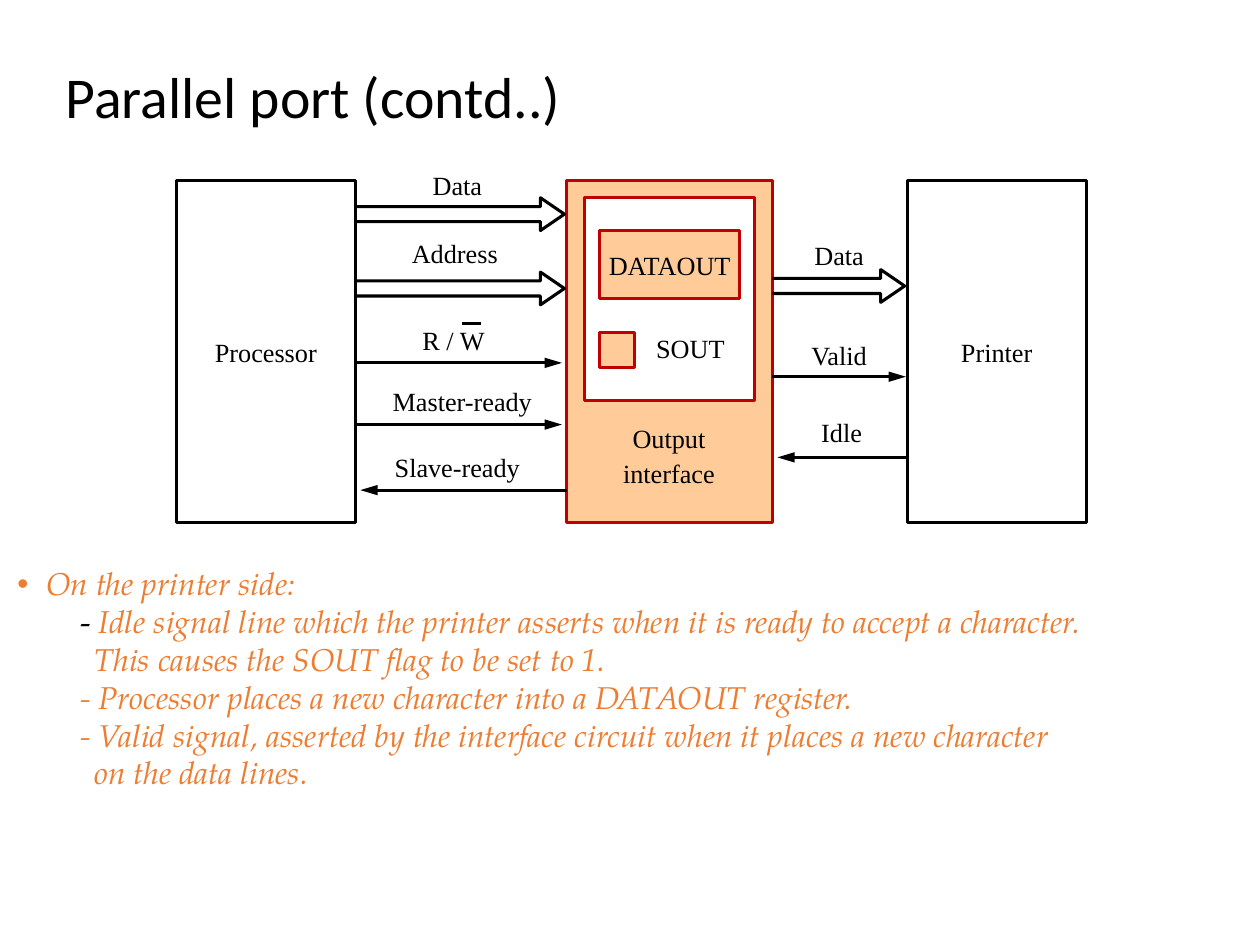
from lxml import etree
from pptx import Presentation
from pptx.dml.color import RGBColor
from pptx.enum.shapes import MSO_CONNECTOR, MSO_SHAPE
from pptx.enum.text import MSO_ANCHOR, PP_ALIGN
from pptx.oxml.ns import qn
from pptx.util import Inches, Pt

COLORS = {name: RGBColor.from_string(value) for name, value in {
    "ink": "000000", "paper": "FFFFFF", "peach": "FFCC99",
    "red": "C00000", "orange": "ED7D31"}.items()}
DIAGRAM_FONT = "Times New Roman"
LINE_WIDTH = Pt(1.75)

prs = Presentation()
prs.slide_width, prs.slide_height = Inches(10), Inches(7.5)
slide = prs.slides.add_slide(prs.slide_layouts[5])
shapes = slide.shapes

title = shapes.title
title.left, title.top, title.width, title.height = map(Inches, (0.42, 0.25, 9.08, 1.08))
title.text_frame.text = "Parallel port (contd..)"
title.text_frame.vertical_anchor = MSO_ANCHOR.MIDDLE
heading = title.text_frame.paragraphs[0]
heading.alignment = PP_ALIGN.LEFT
heading.line_spacing = 0.9
heading.font.name, heading.font.size = "Calibri", Pt(33)
heading.font.color.rgb = COLORS["ink"]


def write_centred(frame, text):
    """Put one centred diagram label, without insets, in a text frame."""
    frame.margin_left = frame.margin_right = frame.margin_top = frame.margin_bottom = 0
    frame.word_wrap = True
    frame.vertical_anchor = MSO_ANCHOR.MIDDLE
    frame.text = text
    paragraph = frame.paragraphs[0]
    paragraph.alignment = PP_ALIGN.CENTER
    paragraph.font.name, paragraph.font.size = DIAGRAM_FONT, Pt(15)
    paragraph.font.color.rgb = COLORS["ink"]


def draw_line(x1, y1, x2, y2, arrow=True):
    line = shapes.add_connector(MSO_CONNECTOR.STRAIGHT, *map(Inches, (x1, y1, x2, y2)))
    line.line.color.rgb = COLORS["ink"]
    line.line.width = LINE_WIDTH
    if arrow:
        etree.SubElement(line.line._get_or_add_ln(), qn("a:tailEnd"),
                         type="triangle", w="med", len="lg")
    etree.SubElement(line._element.spPr, qn("a:effectLst"))


# Blocks and registers, from back to front
for left, top, width, height, fill, outline, text in [
    (1.4, 1.43, 1.42, 2.72, "paper", "ink", "Processor"),
    (7.2, 1.43, 1.42, 2.72, "paper", "ink", "Printer"),
    (4.5, 1.43, 1.63, 2.72, "peach", "red", ""),
    (4.64, 1.57, 1.35, 1.61, "paper", "red", ""),
    (4.76, 1.83, 1.11, 0.54, "peach", "red", "DATAOUT"),
    (4.76, 2.64, 0.28, 0.28, "peach", "red", ""),
]:
    block = shapes.add_shape(MSO_SHAPE.RECTANGLE, *map(Inches, (left, top, width, height)))
    block.shadow.inherit = False
    block.fill.solid()
    block.fill.fore_color.rgb = COLORS[fill]
    block.line.color.rgb = COLORS[outline]
    block.line.width = LINE_WIDTH
    if text:
        write_centred(block.text_frame, text)

# Wide bus arrows, open where they leave a block
for start, tip, y in [(2.82, 4.48, 1.7), (2.82, 4.48, 2.29), (6.13, 7.18, 2.27)]:
    neck = tip - 0.19
    outline = [(start, y - 0.06), (neck, y - 0.06), (neck, y - 0.13), (tip, y),
               (neck, y + 0.13), (neck, y + 0.06), (start, y + 0.06)]
    points = [(Inches(px), Inches(py)) for px, py in outline]
    builder = shapes.build_freeform(*points[0])
    builder.add_line_segments(points[1:], close=False)
    bus = builder.convert_to_shape()
    bus.shadow.inherit = False
    bus.fill.background()
    bus.line.color.rgb = COLORS["ink"]
    bus.line.width = LINE_WIDTH

# Control signals
for start, end, y in [(2.82, 4.46, 2.88), (2.82, 4.46, 3.37), (4.5, 2.86, 3.89),
                      (6.13, 7.19, 2.99), (7.2, 6.17, 3.63)]:
    draw_line(start, y, end, y)
draw_line(3.67, 2.57, 3.82, 2.57, arrow=False)  # bar over W

LABEL_WIDTH, LABEL_HEIGHT = 1.3, 0.25
for centre, top, text in [
    (3.63, 1.34, "Data"), (3.61, 1.88, "Address"), (3.6, 2.57, "R / W"),
    (3.67, 3.06, "Master-ready"), (3.63, 3.58, "Slave-ready"),
    (6.66, 1.9, "Data"), (6.66, 2.69, "Valid"), (6.68, 3.3, "Idle"),
    (5.48, 2.64, "SOUT"), (5.31, 3.35, "Output"), (5.31, 3.63, "interface"),
]:
    label = shapes.add_textbox(Inches(centre - LABEL_WIDTH / 2), Inches(top),
                               Inches(LABEL_WIDTH), Inches(LABEL_HEIGHT))
    write_centred(label.text_frame, text)

# Notes: (left margin, first-line indent, marker colour, lines)
notes = shapes.add_textbox(*map(Inches, (0.04, 4.43, 9.9, 1.9))).text_frame
notes.word_wrap = True
for number, (margin, indent, marker_color, lines) in enumerate([
    (0.23, -0.23, None, ["On the printer side:"]),
    (0.61, -0.11, "ink", [
        "Idle signal line which the printer asserts when it is ready to accept a character.",
        "This causes the SOUT flag to be set to 1."]),
    (0.61, -0.11, "orange", ["Processor places a new character into a DATAOUT register."]),
    (0.61, -0.11, "orange", [
        "Valid signal, asserted by the interface circuit when it places a new character",
        "on the data lines."]),
]):
    paragraph = notes.add_paragraph() if number else notes.paragraphs[0]
    properties = paragraph._p.get_or_add_pPr()
    properties.set("marL", str(Inches(margin)))
    properties.set("indent", str(Inches(indent)))
    if marker_color:
        dash = paragraph.add_run()
        dash.text = "- "
        dash.font.color.rgb = COLORS[marker_color]
        dash.font.italic = marker_color == "orange"
    else:
        bullet_color = etree.SubElement(properties, qn("a:buClr"))
        etree.SubElement(bullet_color, qn("a:srgbClr"), val=str(COLORS["orange"]))
        etree.SubElement(properties, qn("a:buFont"), typeface="Arial")
        etree.SubElement(properties, qn("a:buChar"), char="•")
    for position, text in enumerate(lines):
        if position:
            paragraph.add_line_break()
        run = paragraph.add_run()
        run.text = text
        run.font.italic = True
        run.font.color.rgb = COLORS["orange"]
    paragraph.font.name, paragraph.font.size = "TeX Gyre Pagella", Pt(18)

prs.save("out.pptx")
